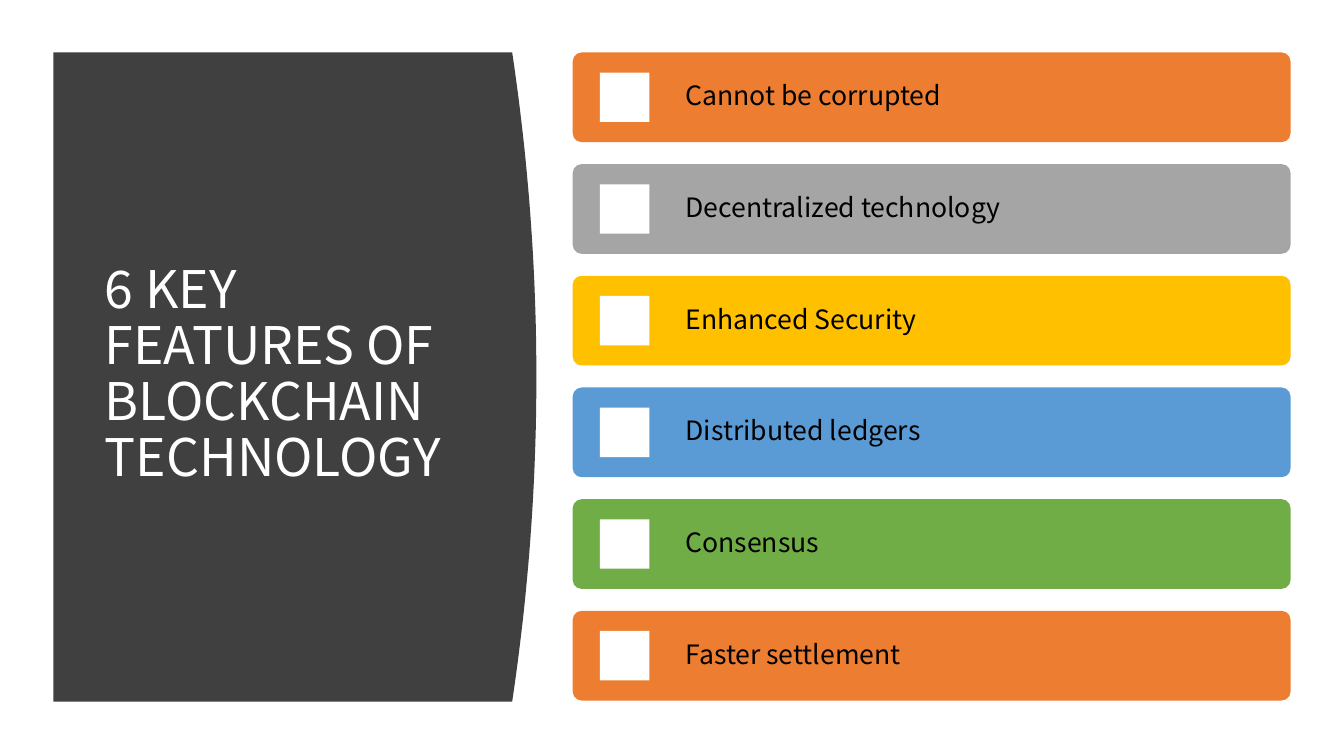
from pptx import Presentation
from pptx import util as u
from pptx.dml.color import RGBColor
from pptx.enum import shapes, text

PX = 9144
FONT = "Noto Sans CJK KR"
TITLE = "6 KEY FEATURES OF BLOCKCHAIN TECHNOLOGY"
FEATURES = [
    ("Cannot be corrupted", "ED7D31"),
    ("Decentralized technology", "A5A5A5"),
    ("Enhanced Security", "FFC000"),
    ("Distributed ledgers", "5B9BD5"),
    ("Consensus", "70AD47"),
    ("Faster settlement", "ED7D31"),
]


def px(*lengths):
    """Turn px lengths into EMU."""
    return [u.Emu(round(length * PX)) for length in lengths]


def paint(shape, color):
    """Give a shape a flat fill with no line and no shadow."""
    shape.fill.solid()
    shape.fill.fore_color.rgb = RGBColor.from_string(color)
    shape.line.fill.background()
    shape.shadow.inherit = False


def write(shape, words, size, color, inset=9, after=0):
    """Put one left-aligned, vertically centred paragraph in a shape."""
    frame = shape.text_frame
    frame.word_wrap = True
    frame.auto_size = text.MSO_AUTO_SIZE.NONE
    frame.vertical_anchor = text.MSO_ANCHOR.MIDDLE
    frame.margin_left, frame.margin_top, frame.margin_right, frame.margin_bottom = px(*[inset] * 4)
    para = frame.paragraphs[0]
    para.alignment = text.PP_ALIGN.LEFT
    para.line_spacing = 0.9
    para.space_before = u.Pt(0)
    para.space_after = u.Pt(after)
    span = para.add_run()
    span.text = words
    span.font.size = u.Pt(size)
    span.font.name = FONT
    span.font.color.rgb = RGBColor.from_string(color)


def title_panel(page, left, top, width, height, bulge=24, steps=48):
    """Draw the dark panel with a bowed right side and the title on it."""
    edge = left + width - bulge
    curve = []
    for step in range(steps + 1):
        part = step / steps
        curve.append(px(edge + bulge * 4 * part * (1 - part), top + height * part))
    builder = page.shapes.build_freeform(*px(left, top))
    builder.add_line_segments(curve + [px(left, top + height)], close=True)
    paint(builder.convert_to_shape(), "404040")

    title = page.shapes.title
    title.left, title.top, title.width, title.height = px(left + 41, top + 59, 374, 524)
    write(title, TITLE, 37, "FFFFFF", inset=10)
    title.element.getparent().append(title.element)


def feature_row(group, left, top, width, height, words, color):
    """Draw one feature bar with its white square and label."""
    bar = group.shapes.add_shape(
        shapes.MSO_SHAPE.ROUNDED_RECTANGLE, *px(left, top, width, height))
    bar.adjustments[0] = 0.1
    paint(bar, color)
    side = 49
    square = group.shapes.add_shape(
        shapes.MSO_SHAPE.RECTANGLE, *px(left + 27, top + (height - side) / 2, side, side))
    paint(square, "FFFFFF")
    label = group.shapes.add_textbox(*px(left + 103, top, width - 103, height))
    write(label, words, 19, "000000", after=6.65)


def feature_list(page, left, top, width, height, row_height=89):
    """Spread the feature bars evenly over the box."""
    group = page.shapes.add_group_shape()
    pitch = (height - row_height) / (len(FEATURES) - 1)
    for index, (words, color) in enumerate(FEATURES):
        feature_row(group, left, top + index * pitch, width, row_height, words, color)


def main():
    """Build and save the slide."""
    deck = Presentation()
    deck.slide_width, deck.slide_height = px(1333, 750)
    page = deck.slides.add_slide(deck.slide_layouts[5])
    title_panel(page, 53, 52, 479, 644)
    feature_list(page, 568, 52, 712, 643)
    deck.save("out.pptx")


if __name__ == "__main__":
    main()
